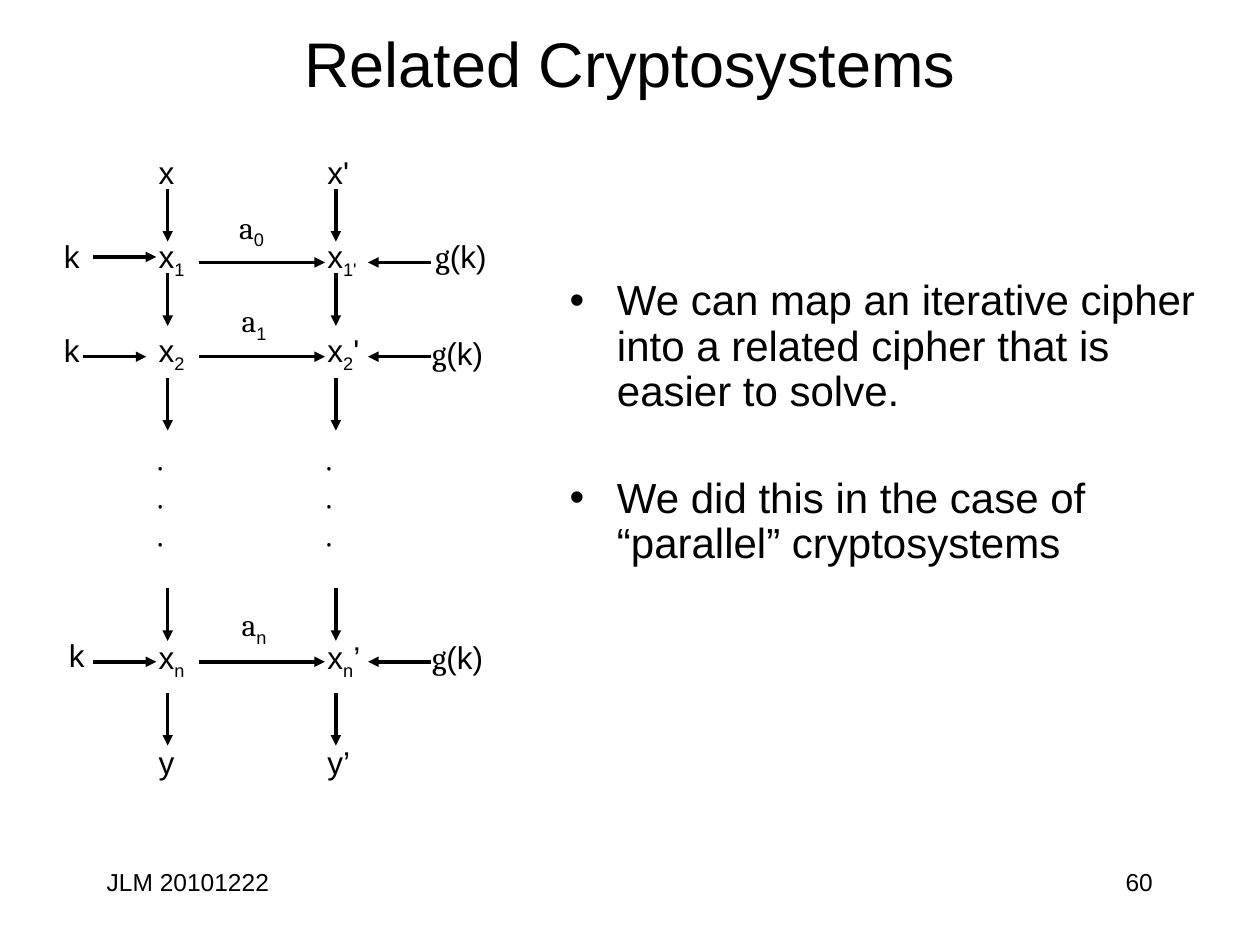
from pptx import Presentation
from pptx.dml.color import RGBColor
from pptx.enum.shapes import MSO_CONNECTOR
from pptx.enum.text import MSO_ANCHOR, MSO_AUTO_SIZE, PP_ALIGN
from pptx.oxml.ns import qn
from pptx.util import Cm, Pt
from lxml import etree

STRAIGHT = MSO_CONNECTOR.STRAIGHT
MIDDLE, TOP = MSO_ANCHOR.MIDDLE, MSO_ANCHOR.TOP
NO_FIT = MSO_AUTO_SIZE.NONE
LEFT, CENTER, RIGHT = PP_ALIGN.LEFT, PP_ALIGN.CENTER, PP_ALIGN.RIGHT

BLACK = RGBColor(0x00, 0x00, 0x00)
WHITE = RGBColor(0xFF, 0xFF, 0xFF)
SANS, SERIF = "Arial", "Cambria"
SUBSCRIPT = "-25000"

LABEL_HEIGHT = 1.02
COLUMN_LEFTS = (2.95, 6.35)
COLUMN_AXES = (3.38, 6.77)
DOWN_ARROW_TOPS = (3.81, 5.51, 7.62, 11.86, 13.97)
DOWN_ARROW_LENGTH = 1.06

# State labels: top, then (width, base, subscript, suffix) for each column
STATES = [
    (2.97, (0.84, "x", "", ""), (0.97, "x'", "", "")),
    (4.65, (1.07, "x", "1", ""), (1.14, "x", "1'", "")),
    (6.55, (1.07, "x", "2", ""), (1.19, "x", "2", "'")),
    (12.73, (1.07, "x", "n", ""), (1.22, "x", "n", "’")),
    (14.86, (0.84, "y", "", ""), (0.97, "y’", "", "")),
]

# Rounds: map index, arrow height, key arrow (left, height), then label corners
ROUNDS = [
    ("0", 5.29, (1.88, 5.18), (1.04, 4.65), (4.57, 4.06), (8.53, 4.65)),
    ("1", 7.19, (1.68, 7.19), (1.04, 6.55), (4.62, 5.94), (8.46, 6.6)),
    ("n", 13.34, (1.88, 13.34), (1.14, 12.7), (4.62, 12.07), (8.46, 12.73)),
]

BULLETS = [
    "We can map an iterative cipher into a related cipher that is easier to solve.",
    "We did this in the case of “parallel” cryptosystems",
]


def place(shape, left, top, width, height):
    shape.left, shape.top = Cm(left), Cm(top)
    shape.width, shape.height = Cm(width), Cm(height)


def style(font, size, name=SANS):
    font.size, font.name = Pt(size), name
    font.color.rgb = BLACK


def add_label(page, left, top, width, spans):
    """Add a one-line label; spans are (text, font name, is subscript)."""
    box = page.shapes.add_textbox(Cm(left), Cm(top), Cm(width), Cm(LABEL_HEIGHT))
    box.text_frame.word_wrap = False
    para = box.text_frame.paragraphs[0]
    for text, name, lowered in spans:
        if text:
            span = para.add_run()
            span.text = text
            style(span.font, 18, name)
            if lowered:
                span.font._element.set("baseline", SUBSCRIPT)


def add_dots(page, left):
    box = page.shapes.add_textbox(Cm(left), Cm(8.89), Cm(0.71), Cm(2.57))
    box.text_frame.word_wrap = False
    box.text_frame.text = "·\n·\n·"
    for para in box.text_frame.paragraphs:
        style(para.runs[0].font, 18, SERIF)


def add_arrow(page, start, end):
    arrow = page.shapes.add_connector(STRAIGHT, *map(Cm, start + end))
    arrow.line.color.rgb = BLACK
    arrow.line.width = Pt(2)
    outline = arrow.line._get_or_add_ln()
    etree.SubElement(outline, qn("a:tailEnd"), type="triangle")
    etree.SubElement(arrow._element.spPr, qn("a:effectLst"))


def add_footer(page, left, text, align):
    box = page.shapes.add_textbox(Cm(left), Cm(17.35), Cm(5.28), Cm(1.27))
    box.text_frame.word_wrap = True
    box.text_frame.text = text
    para = box.text_frame.paragraphs[0]
    para.alignment = align
    style(para.runs[0].font, 14)


def fill_title(page):
    title = page.shapes.title
    place(title, 1.9, 0.2, 21.6, 2.11)
    frame = title.text_frame
    frame.text = "Related Cryptosystems"
    frame.auto_size, frame.vertical_anchor = NO_FIT, MIDDLE
    frame.paragraphs[0].alignment = CENTER
    style(frame.paragraphs[0].runs[0].font, 36)


def fill_bullets(page):
    body = page.placeholders[1]
    place(body, 11.23, 5.51, 13.54, 8.69)
    frame = body.text_frame
    frame.text = "\n".join(BULLETS)
    frame.auto_size, frame.vertical_anchor = NO_FIT, TOP
    for index, para in enumerate(frame.paragraphs):
        para.line_spacing = 0.9
        para.space_before = Pt(35 if index else 0)
        style(para.runs[0].font, 24)


def draw_columns(page):
    """Draw the two cipher chains, one below each input."""
    for top, *states in STATES:
        for left, (width, base, index, suffix) in zip(COLUMN_LEFTS, states):
            spans = [(base, SANS, False), (index, SANS, True), (suffix, SANS, False)]
            add_label(page, left, top, width, spans)
    for left, axis in zip(COLUMN_LEFTS, COLUMN_AXES):
        add_dots(page, left)
        for top in DOWN_ARROW_TOPS:
            add_arrow(page, (axis, top), (axis, top + DOWN_ARROW_LENGTH))


def draw_rounds(page):
    """Draw the keys and the maps that link the two chains."""
    for index, height, (key_left, key_height), key, mapping, related in ROUNDS:
        add_label(page, *key, 0.84, [("k", SANS, False)])
        add_label(page, *mapping, 1.12, [("a", SERIF, False), (index, SANS, True)])
        add_label(page, *related, 1.63, [("g", SERIF, False), ("(k)", SANS, False)])
        add_arrow(page, (key_left, key_height), (key_left + 1.27, key_height))
        add_arrow(page, (4.01, height), (6.55, height))
        add_arrow(page, (8.69, height), (7.42, height))


def main():
    deck = Presentation()
    deck.slide_width, deck.slide_height = Cm(25.4), Cm(19.05)
    page = deck.slides.add_slide(deck.slide_layouts[1])
    page.background.fill.solid()
    page.background.fill.fore_color.rgb = WHITE
    fill_title(page)
    fill_bullets(page)
    draw_columns(page)
    draw_rounds(page)
    add_footer(page, 1.9, "JLM 20101222", LEFT)
    add_footer(page, 18.21, "60", RIGHT)
    deck.save("out.pptx")


if __name__ == "__main__":
    main()
